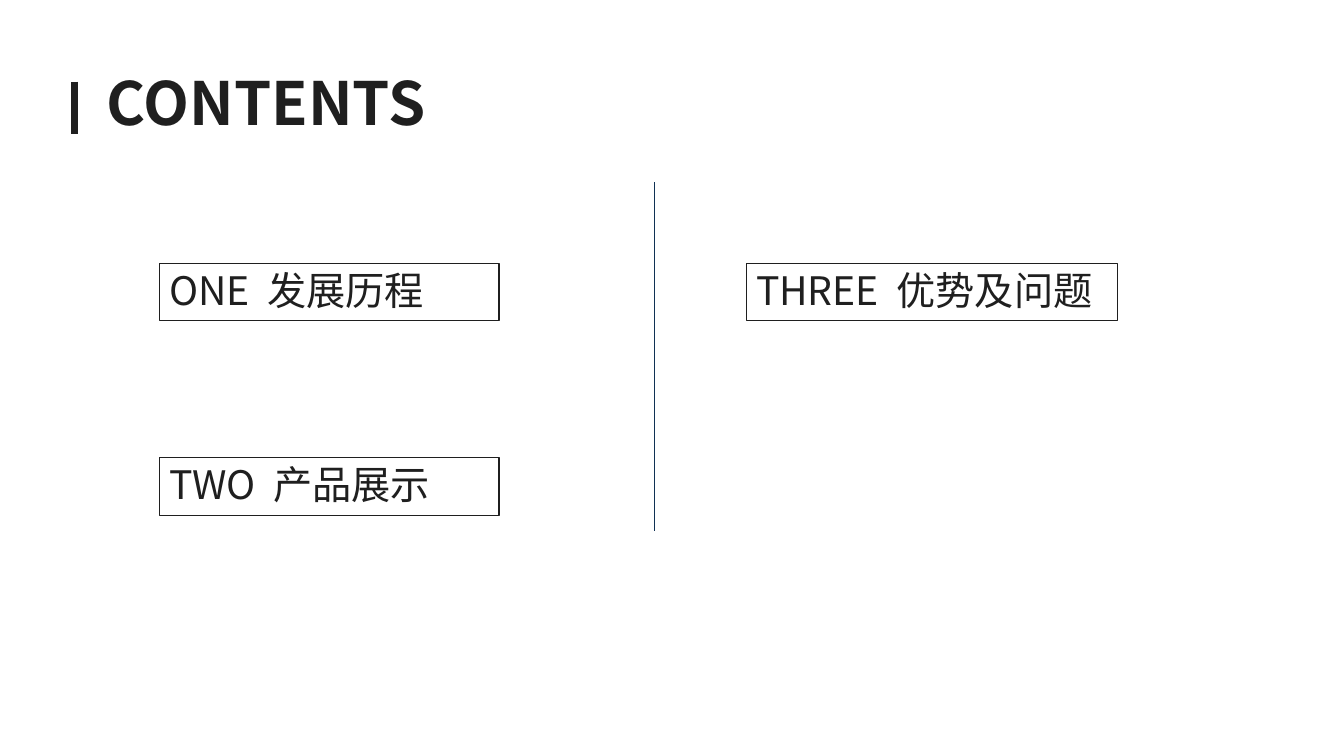
import pptx
import pptx.util
import pptx.dml.color
import pptx.enum.shapes
import pptx.enum.text
import pptx.oxml
import pptx.oxml.ns

Inches = pptx.util.Inches
FONT = "Noto Sans CJK SC"
INK, NAVY = "1F1F1F", "103154"

TITLE = "CONTENTS"
# One list per column: left edge, box width, (number, topic) pairs
COLUMNS = [
    (1.58, 3.37, [("ONE", "发展历程"), ("TWO", "产品展示")]),
    (7.4, 3.68, [("THREE", "优势及问题")]),
]
FIRST_ROW, ROW_STEP, BOX_HEIGHT = 2.61, 1.93, 0.57
# x, top, bottom, colour, width in points
RULES = [(0.74, 0.81, 1.33, INK, 4.5), (6.49, 1.81, 5.27, NAVY, 1)]


def color(value):
    """Turn a hex string into a colour."""
    return pptx.dml.color.RGBColor.from_string(value)


def format_run(run, size, bold=False):
    """Set font, size and colour for Latin and East Asian text."""
    run.font.name = FONT
    run.font.size = pptx.util.Pt(size)
    run.font.bold = bold
    run.font.color.rgb = color(INK)
    east_asian = pptx.oxml.parse_xml(
        f'<a:ea {pptx.oxml.ns.nsdecls("a")} typeface="{FONT}"/>')
    run.font._element.find(pptx.oxml.ns.qn("a:latin")).addnext(east_asian)


def format_frame(text_frame, wrap):
    """Centre the text vertically and align it left."""
    text_frame.word_wrap = wrap
    text_frame.auto_size = pptx.enum.text.MSO_AUTO_SIZE.NONE
    text_frame.vertical_anchor = pptx.enum.text.MSO_ANCHOR.MIDDLE
    text_frame.margin_top = Inches(0.03)
    text_frame.margin_bottom = Inches(0.07)
    paragraph = text_frame.paragraphs[0]
    paragraph.alignment = pptx.enum.text.PP_ALIGN.LEFT
    paragraph.line_spacing = 1.0


def add_title(slide):
    """Place the heading in the title placeholder."""
    title = slide.shapes.title
    title.left, title.top = Inches(0.96), Inches(0.62)
    title.width, title.height = Inches(3.55), Inches(0.82)
    title.text_frame.text = TITLE
    format_frame(title.text_frame, False)
    format_run(title.text_frame.paragraphs[0].runs[0], 42.6, True)


def add_topic(slide, left, top, width, number, topic):
    """Draw one outlined box with its number and topic."""
    box = slide.shapes.add_shape(
        pptx.enum.shapes.MSO_SHAPE.RECTANGLE,
        Inches(left), Inches(top), Inches(width), Inches(BOX_HEIGHT))
    box.shadow.inherit = False
    box.fill.background()
    box.line.color.rgb = color(INK)
    box.line.width = pptx.util.Pt(0.75)
    format_frame(box.text_frame, True)
    paragraph = box.text_frame.paragraphs[0]
    for text in (number, " ", topic):
        run = paragraph.add_run()
        run.text = text
        format_run(run, 28)
    # Widen the single space between number and topic
    paragraph.runs[1].font._element.set("spc", "630")


def add_rule(slide, x, top, bottom, line_color, width):
    """Draw a vertical line without a shadow."""
    rule = slide.shapes.add_connector(
        pptx.enum.shapes.MSO_CONNECTOR.STRAIGHT,
        Inches(x), Inches(top), Inches(x), Inches(bottom))
    rule.line.color.rgb = color(line_color)
    rule.line.width = pptx.util.Pt(width)
    rule._element.spPr.append(pptx.oxml.parse_xml(
        f'<a:effectLst {pptx.oxml.ns.nsdecls("a")}/>'))


presentation = pptx.Presentation()
presentation.slide_width = Inches(13.33)
presentation.slide_height = Inches(7.5)
slide = presentation.slides.add_slide(presentation.slide_layouts[5])

add_title(slide)
for left, width, topics in COLUMNS:
    for row, (number, topic) in enumerate(topics):
        add_topic(slide, left, FIRST_ROW + row * ROW_STEP, width, number, topic)
for rule in RULES:
    add_rule(slide, *rule)

presentation.save("out.pptx")
